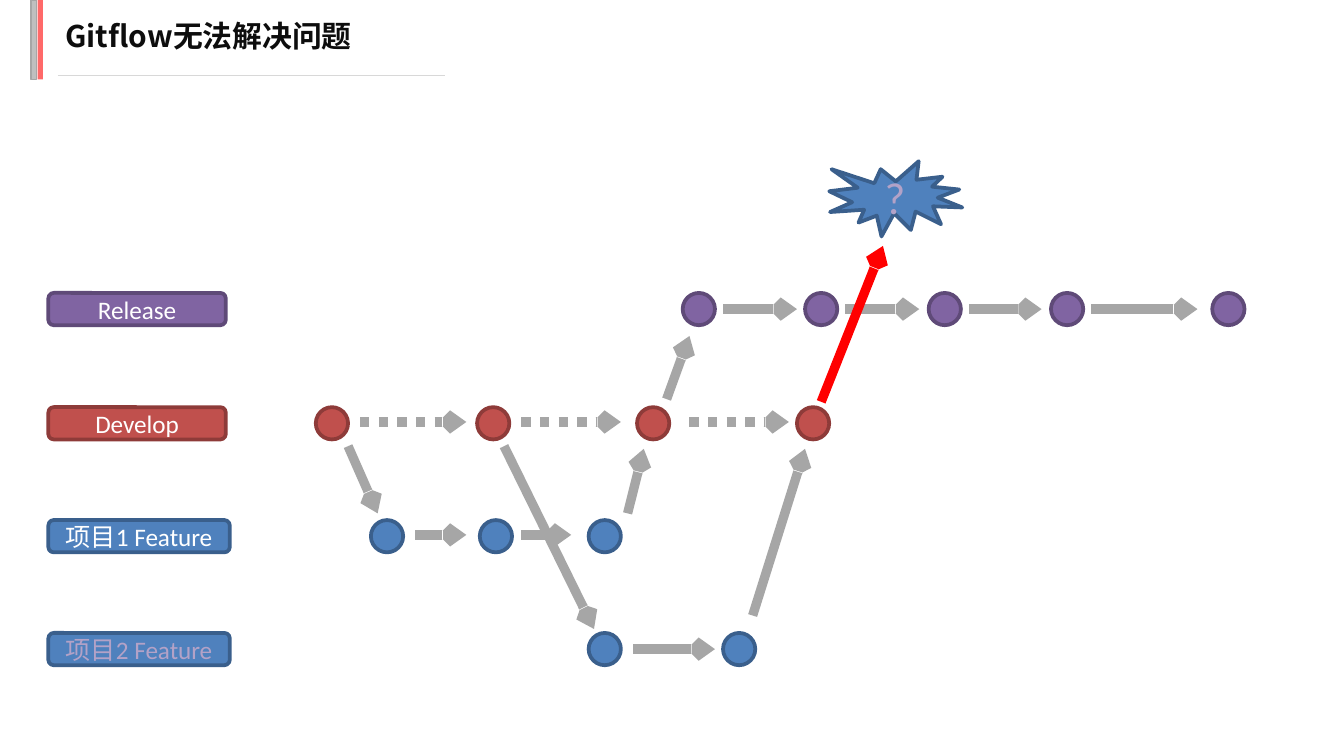
from lxml import etree
from pptx import Presentation
from pptx.dml.color import RGBColor
from pptx.enum.dml import MSO_LINE
from pptx.enum.shapes import MSO_CONNECTOR, MSO_SHAPE
from pptx.enum.text import MSO_ANCHOR, PP_ALIGN
from pptx.oxml.ns import qn
from pptx.util import Inches, Pt

RECTANGLE = MSO_SHAPE.RECTANGLE
ROUNDED = MSO_SHAPE.ROUNDED_RECTANGLE
CIRCLE = MSO_SHAPE.FLOWCHART_CONNECTOR
BURST = MSO_SHAPE.EXPLOSION1
STRAIGHT = MSO_CONNECTOR.STRAIGHT
DOTTED = MSO_LINE.ROUND_DOT  # written as sysDot
MIDDLE = MSO_ANCHOR.MIDDLE
CENTER = PP_ALIGN.CENTER

BODY_FONT = "Calibri"
CJK_FONT = "Noto Sans CJK SC"
COLORS = {
    "title": "0D0D0D", "white": "FFFFFF", "lilac": "B3A2C7",
    "bar": "BFBFBF", "accent": "FF6969", "rule": "D8D8D8",
    "arrow": "A6A6A6", "alert": "FF0000",
    "release": "8064A2", "release_edge": "5F4A78",
    "develop": "C0504D", "develop_edge": "8E3B39",
    "feature": "4F81BD", "feature_edge": "3A5F8C",
}
NODE_SIZE = 0.24

# label, color, text color, label width, top, left edges of the commits
BRANCHES = [
    ("Release", "release", "white", 1.32, 2.18, [5.08, 5.99, 6.91, 7.82, 9.02]),
    ("Develop", "develop", "white", 1.32, 3.03, [2.35, 3.55, 4.74, 5.93]),
    ("项目1 Feature", "feature", "white", 1.35, 3.87, [2.76, 3.57, 4.38]),
    ("项目2 Feature", "feature", "lilac", 1.35, 4.71, [4.38, 5.38]),
]
# height of the arrows along a branch, their (start, end) pairs, dash
BRANCH_ARROWS = [
    (2.3, [(5.38, 5.93), (6.29, 6.84), (7.21, 7.75), (8.12, 8.91)], None),
    (3.14, [(2.68, 3.47), (3.88, 4.62), (5.13, 5.87)], DOTTED),
    (3.98, [(3.09, 3.47), (3.88, 4.25)], None),
    (4.83, [(4.71, 5.32)], None),
]
CROSS_ARROWS = [
    ((2.59, 3.32), (2.81, 3.82)),
    ((3.75, 3.32), (4.42, 4.68)),
    ((4.67, 3.82), (4.79, 3.34)),
    ((5.6, 4.58), (5.99, 3.34)),
    ((4.96, 2.97), (5.13, 2.5)),
]


def rgb(name):
    return RGBColor.from_string(COLORS[name])


def format_text(paragraph, size, color, font=BODY_FONT, bold=False):
    for run in paragraph.runs:
        run.font.size = Pt(size)
        run.font.name = font
        run.font.bold = bold
        run.font.color.rgb = rgb(color)
        east_asian = etree.SubElement(run._r.get_or_add_rPr(), qn("a:ea"))
        east_asian.set("typeface", CJK_FONT)


def add_shape(slide, kind, box, fill, edge=None, edge_width=2):
    shape = slide.shapes.add_shape(kind, *map(Inches, box))
    shape.shadow.inherit = False
    shape.fill.solid()
    shape.fill.fore_color.rgb = rgb(fill)
    if edge:
        shape.line.color.rgb = rgb(edge)
        shape.line.width = Pt(edge_width)
    else:
        shape.line.fill.background()
    return shape


def add_label(slide, kind, box, color, text, size, text_color):
    shape = add_shape(slide, kind, box, color, color + "_edge")
    frame = shape.text_frame
    frame.margin_left = frame.margin_right = Inches(0.07)
    frame.margin_top = frame.margin_bottom = Inches(0.04)
    frame.vertical_anchor = MIDDLE
    frame.text = text
    paragraph = frame.paragraphs[0]
    paragraph.alignment = CENTER
    format_text(paragraph, size, text_color)


def add_line(slide, start, end, color, width):
    line = slide.shapes.add_connector(STRAIGHT, *map(Inches, start + end))
    line.line.color.rgb = rgb(color)
    line.line.width = Pt(width)
    etree.SubElement(line._element.spPr, qn("a:effectLst"))
    return line


def add_arrow(slide, start, end, color="arrow", dash=None):
    arrow = add_line(slide, start, end, color, 5)
    if dash:
        arrow.line.dash_style = dash
    head = etree.SubElement(arrow.line._get_or_add_ln(), qn("a:tailEnd"))
    head.set("type", "arrow")
    head.set("w", "sm")
    head.set("len", "sm")


def add_header(slide):
    add_shape(slide, RECTANGLE, (0.23, 0, 0.04, 0.59), "bar", "arrow", 0.75)
    add_shape(slide, RECTANGLE, (0.28, 0, 0.04, 0.59), "accent")
    title = slide.shapes.add_textbox(*map(Inches, (0.39, 0.08, 3.17, 0.37)))
    title.text_frame.word_wrap = True
    title.text_frame.text = "Gitflow无法解决问题"
    format_text(title.text_frame.paragraphs[0], 16, "title", CJK_FONT, True)
    add_line(slide, (0.43, 0.56), (3.31, 0.56), "rule", 0.75)


def add_branch(slide, text, color, text_color, width, top, commits):
    box = (0.36, top, width, NODE_SIZE)
    add_label(slide, ROUNDED, box, color, text, 13.5, text_color)
    for left in commits:
        box = (left, top, NODE_SIZE, NODE_SIZE)
        add_shape(slide, CIRCLE, box, color, color + "_edge")


def main():
    presentation = Presentation()
    presentation.slide_width = Inches(10)
    presentation.slide_height = Inches(10 * 9 / 16)
    slide = presentation.slides.add_slide(presentation.slide_layouts[6])
    add_header(slide)
    for branch in BRANCHES:
        add_branch(slide, *branch)
    for height, spans, dash in BRANCH_ARROWS:
        for start, end in spans:
            add_arrow(slide, (start, height), (end, height), dash=dash)
    for start, end in CROSS_ARROWS:
        add_arrow(slide, start, end)
    add_arrow(slide, (6.11, 2.99), (6.57, 1.83), "alert")
    add_label(slide, BURST, (6.17, 1.2, 0.99, 0.56), "feature", "?", 24, "lilac")
    presentation.save("out.pptx")


if __name__ == "__main__":
    main()
